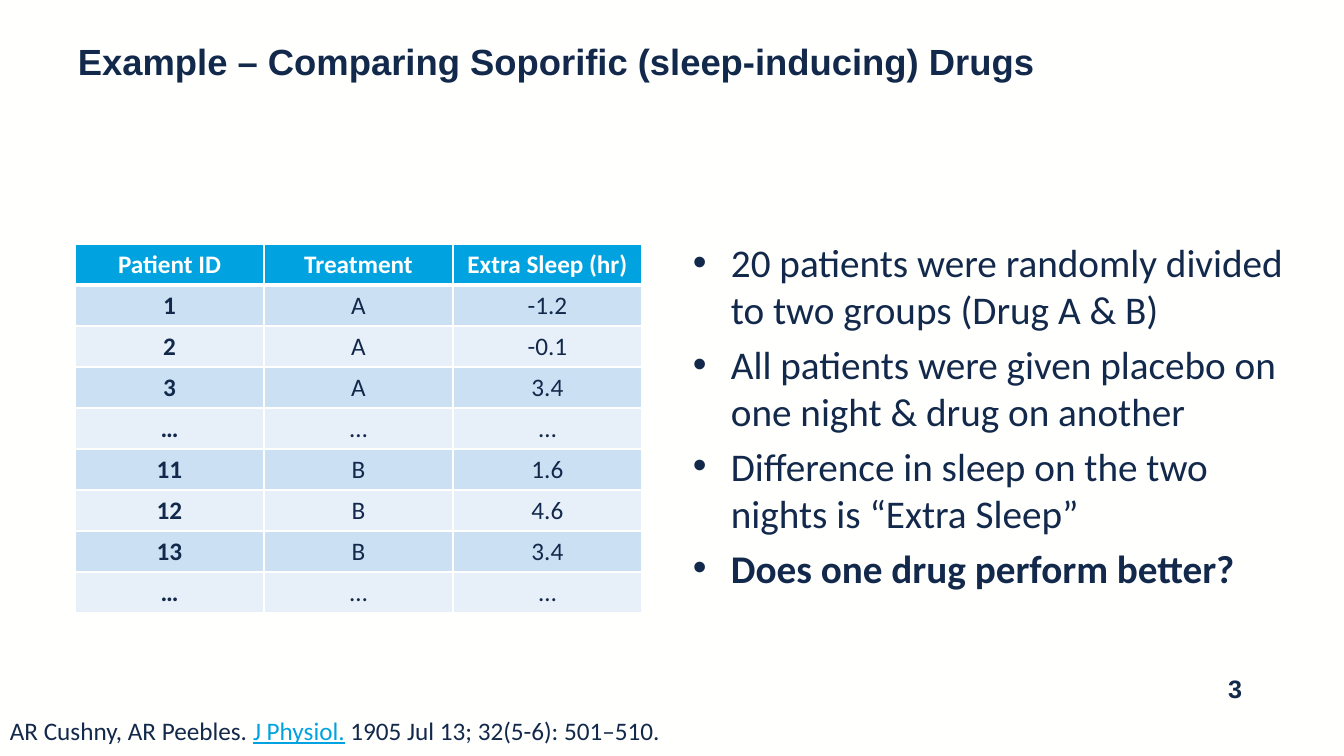
from lxml import etree
from pptx import Presentation
from pptx import util as u
from pptx.dml.color import RGBColor
from pptx.enum import text
from pptx.oxml.ns import qn

PX_PER_INCH = 100.8
COLORS = {"paper": "FFFFFE", "navy": "13294B", "cyan": "00A3E0",
          "band": "CCE0F3", "pale": "E7F0F9"}
SLEEP_DATA = [
    ("Patient ID", "Treatment", "Extra Sleep (hr)"),
    ("1", "A", "-1.2"), ("2", "A", "-0.1"), ("3", "A", "3.4"),
    ("…", "…", "…"),
    ("11", "B", "1.6"), ("12", "B", "4.6"), ("13", "B", "3.4"),
    ("…", "…", "…"),
]
POINTS = [
    "20 patients were randomly divided to two groups (Drug A & B)",
    "All patients were given placebo on one night & drug on another",
    "Difference in sleep on the two nights is “Extra Sleep”",
    "Does one drug perform better?",
]
CITATION = [("AR Cushny, AR Peebles. ", False), ("J Physiol.", True),
            (" 1905 Jul 13; 32(5-6): 501–510.", False)]


def px(length):
    """Turn pixels into EMU."""
    return u.Inches(length / PX_PER_INCH)


def rgb(name):
    """Look up a named colour."""
    return RGBColor.from_string(COLORS[name])


def style(font, size, face="Calibri", color="navy", bold=False):
    """Set the looks of a font."""
    font.size, font.name, font.bold = u.Pt(size), face, bold
    font.color.rgb = rgb(color)


def add_frame(slide, left, top, width, height, wrap=True):
    """Add a text box and return its text frame."""
    frame = slide.shapes.add_textbox(*map(px, (left, top, width, height))).text_frame
    frame.word_wrap = wrap
    return frame


def add_heading(slide, wording):
    """Add the slide title."""
    frame = add_frame(slide, 68, 30, 1210, 39)
    frame.margin_top = px(9)
    frame.text = wording
    style(frame.paragraphs[0].runs[0].font, 26, "Arial", bold=True)


def add_page_number(slide, number):
    """Add the page number at the lower right."""
    frame = add_frame(slide, 1144, 668, 108, 40)
    frame.vertical_anchor = text.MSO_ANCHOR.MIDDLE
    frame.text = number
    frame.paragraphs[0].alignment = text.PP_ALIGN.RIGHT
    style(frame.paragraphs[0].runs[0].font, 18, "Arial", bold=True)


def add_points(slide, points):
    """Add the bulleted list with its closing question in bold."""
    frame = add_frame(slide, 683, 233, 622, 480)
    frame.text = "\n".join(points)
    for index, point in enumerate(frame.paragraphs):
        props = point._p.get_or_add_pPr()
        props.set("marL", str(px(38)))
        props.set("indent", str(-px(38)))
        etree.SubElement(props, qn("a:buFont"), typeface="Arial")
        etree.SubElement(props, qn("a:buChar"), char="•")
        if index:
            point.space_before = u.Pt(5.6)
        style(point.runs[0].font, 28, bold=index == len(points) - 1)


def add_citation(slide, parts):
    """Add the reference line with the journal underlined."""
    frame = add_frame(slide, 0, 710, 683, 40, wrap=False)
    for wording, is_journal in parts:
        run = frame.paragraphs[0].add_run()
        run.text = wording
        style(run.font, 18, color="cyan" if is_journal else "navy")
        run.font.underline = is_journal


def add_border(cell, side, points):
    """Draw one side of a cell's border."""
    line = etree.SubElement(cell._tc.get_or_add_tcPr(), qn(f"a:ln{side}"),
                            w=str(u.Pt(points)))
    fill = etree.SubElement(line, qn("a:solidFill"))
    etree.SubElement(fill, qn("a:srgbClr"), val=COLORS["paper"])


def fill_cell(cell, wording, row, column):
    """Write and format one table cell."""
    widths = {"L": 1, "R": 1, "T": 3 if row == 1 else 1, "B": 3 if row == 0 else 1}
    for side, points in widths.items():
        add_border(cell, side, points)
    cell.fill.solid()
    cell.fill.fore_color.rgb = rgb("cyan" if row == 0 else "band" if row % 2 else "pale")
    cell.vertical_anchor = text.MSO_ANCHOR.MIDDLE
    cell.text_frame.text = wording
    entry = cell.text_frame.paragraphs[0]
    entry.alignment = text.PP_ALIGN.CENTER
    style(entry.runs[0].font, 18, color="navy" if row else "paper",
          bold=row == 0 or column == 0)


def add_sleep_table(slide, data):
    """Add the table of extra sleep by patient."""
    rows, columns = len(data), len(data[0])
    table = slide.shapes.add_table(rows, columns, px(75), px(244),
                                   px(189 * columns), px(41 * rows)).table
    for column in table.columns:
        column.width = px(189)
    for r, record in enumerate(data):
        table.rows[r].height = px(41)
        for c, wording in enumerate(record):
            fill_cell(table.cell(r, c), wording, r, c)


def main():
    """Build and save the slide."""
    deck = Presentation()
    deck.slide_width, deck.slide_height = px(1344), px(756)
    slide = deck.slides.add_slide(deck.slide_layouts[6])
    slide.background.fill.solid()
    slide.background.fill.fore_color.rgb = rgb("paper")
    add_heading(slide, "Example – Comparing Soporific (sleep-inducing) Drugs")
    add_sleep_table(slide, SLEEP_DATA)
    add_points(slide, POINTS)
    add_citation(slide, CITATION)
    add_page_number(slide, "3")
    deck.save("out.pptx")


if __name__ == "__main__":
    main()
